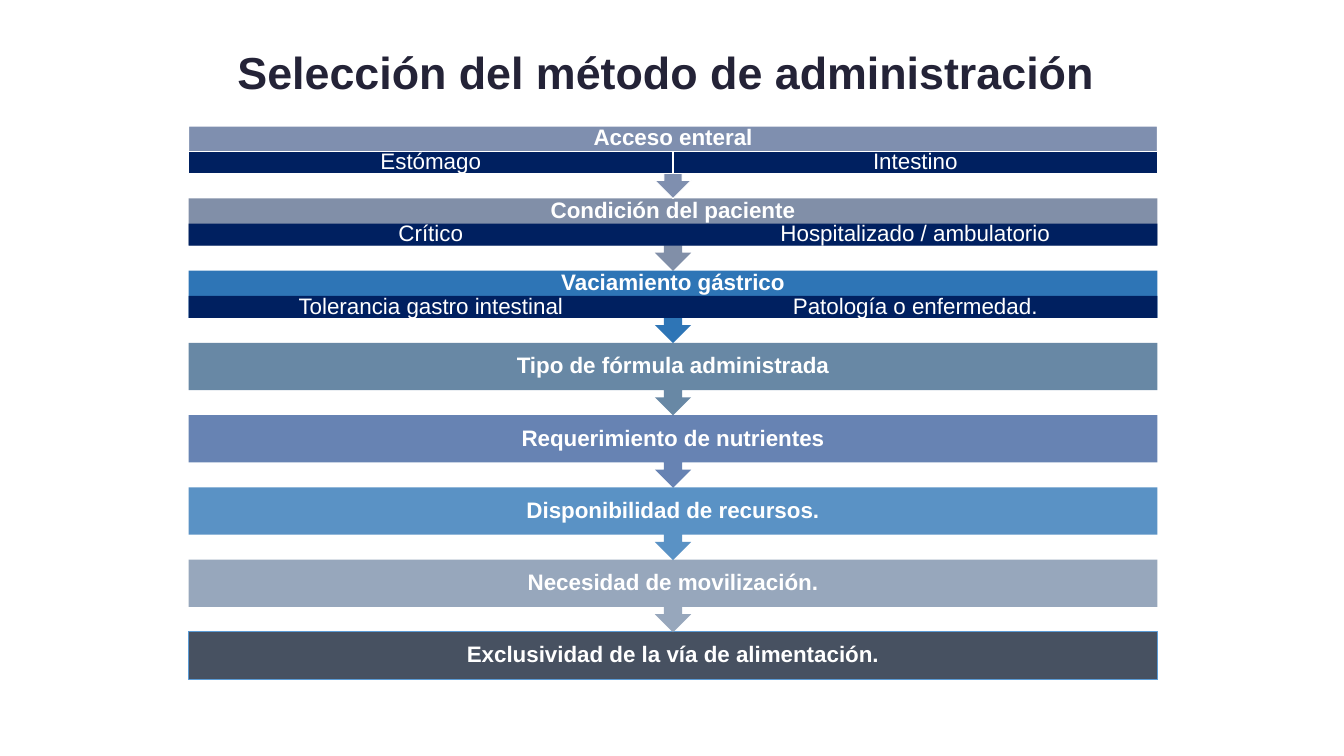
import pptx
import pptx.util
import pptx.dml.color
import pptx.enum.shapes
import pptx.enum.text
import lxml.etree
from dataclasses import dataclass

Inches = pptx.util.Inches
Shapes = pptx.enum.shapes.MSO_SHAPE
color = pptx.dml.color.RGBColor.from_string


@dataclass(frozen=True)
class Theme:
    font: str = "Arial"
    title: str = "242337"
    white: str = "FFFFFF"
    navy: str = "002060"
    last_line: str = "5B9BD5"
    title_size: int = 32
    label_size: int = 16
    # fill and opacity in percent, from the first step to the last
    steps: tuple = (("002060", 50), ("203864", 56), ("2E75B6", 100), ("1F4E79", 67),
                    ("2F5597", 73), ("2E75B6", 79), ("8497B0", 84), ("333F50", 90))


theme = Theme()
deck = pptx.Presentation()
deck.slide_width = Inches(13.33)
deck.slide_height = Inches(7.5)
page = deck.slides.add_slide(deck.slide_layouts[6])


def add_block(kind, left, top, width, height, fill, opacity=100, line=None):
    block = page.shapes.add_shape(kind, Inches(left), Inches(top), Inches(width), Inches(height))
    block.shadow.inherit = False
    block.fill.solid()
    block.fill.fore_color.rgb = color(fill)
    if opacity < 100:
        fill_color = block.fill._xPr.find(".//" + pptx.oxml.ns.qn("a:srgbClr"))
        alpha = lxml.etree.SubElement(fill_color, pptx.oxml.ns.qn("a:alpha"))
        alpha.set("val", str(opacity * 1000))
    if line:
        block.line.color.rgb = color(line)
        block.line.width = pptx.util.Pt(0.75)
    else:
        block.line.fill.background()
    return block


def write(box, text, size, ink, bold):
    frame = box.text_frame
    frame.word_wrap = True
    frame.vertical_anchor = pptx.enum.text.MSO_ANCHOR.MIDDLE
    frame.margin_left = frame.margin_right = Inches(0.12)
    frame.margin_top = frame.margin_bottom = 0
    para = frame.paragraphs[0]
    para.alignment = pptx.enum.text.PP_ALIGN.CENTER
    para.line_spacing = 0.9
    span = para.add_run()
    span.text = text
    span.font.name = theme.font
    span.font.size = pptx.util.Pt(size)
    span.font.bold = bold
    span.font.color.rgb = color(ink)


title = page.shapes.add_textbox(Inches(0.56), Inches(0.12), Inches(12.22), Inches(1.25))
write(title, "Selección del método de administración ", theme.title_size, theme.title, True)

steps = [
    ("Acceso enteral", ("Estómago", "Intestino")),
    ("Condición del paciente", ("Crítico", "Hospitalizado / ambulatorio")),
    ("Vaciamiento gástrico", ("Tolerancia gastro intestinal", "Patología o enfermedad.")),
    ("Tipo de fórmula administrada", ()),
    ("Requerimiento de nutrientes", ()),
    ("Disponibilidad de recursos.", ()),
    ("Necesidad de movilización.", ()),
    ("Exclusividad de la vía de alimentación.", ()),
]
left, first_top, last_top, width = 1.87, 1.25, 6.27, 9.61
bar_height, header_height, option_height, callout_height = 0.47, 0.25, 0.22, 0.72
last = len(steps) - 1
pitch = (last_top - first_top) / last

# The last step lies at the back, so each arrow tip covers the bar below it.
for index in range(last, -1, -1):
    heading, options = steps[index]
    fill, opacity = theme.steps[index]
    top = first_top + index * pitch
    outline = theme.white if index == 0 else None

    if index == last:
        bar = add_block(Shapes.RECTANGLE, left, top, width, bar_height,
                        fill, opacity, theme.last_line)
        write(bar, heading, theme.label_size, theme.white, True)
        continue

    callout = add_block(Shapes.UP_ARROW_CALLOUT, left, top, width, callout_height,
                        fill, opacity, outline)
    callout.rotation = 180
    label = page.shapes.add_textbox(Inches(left), Inches(top), Inches(width),
                                    Inches(header_height if options else bar_height))
    write(label, heading, theme.label_size, theme.white, True)

    for column, option in enumerate(options):
        cell = add_block(Shapes.RECTANGLE, left + column * width / 2, top + header_height,
                         width / 2, option_height, theme.navy, line=outline)
        write(cell, option, theme.label_size, theme.white, False)

deck.save("out.pptx")
